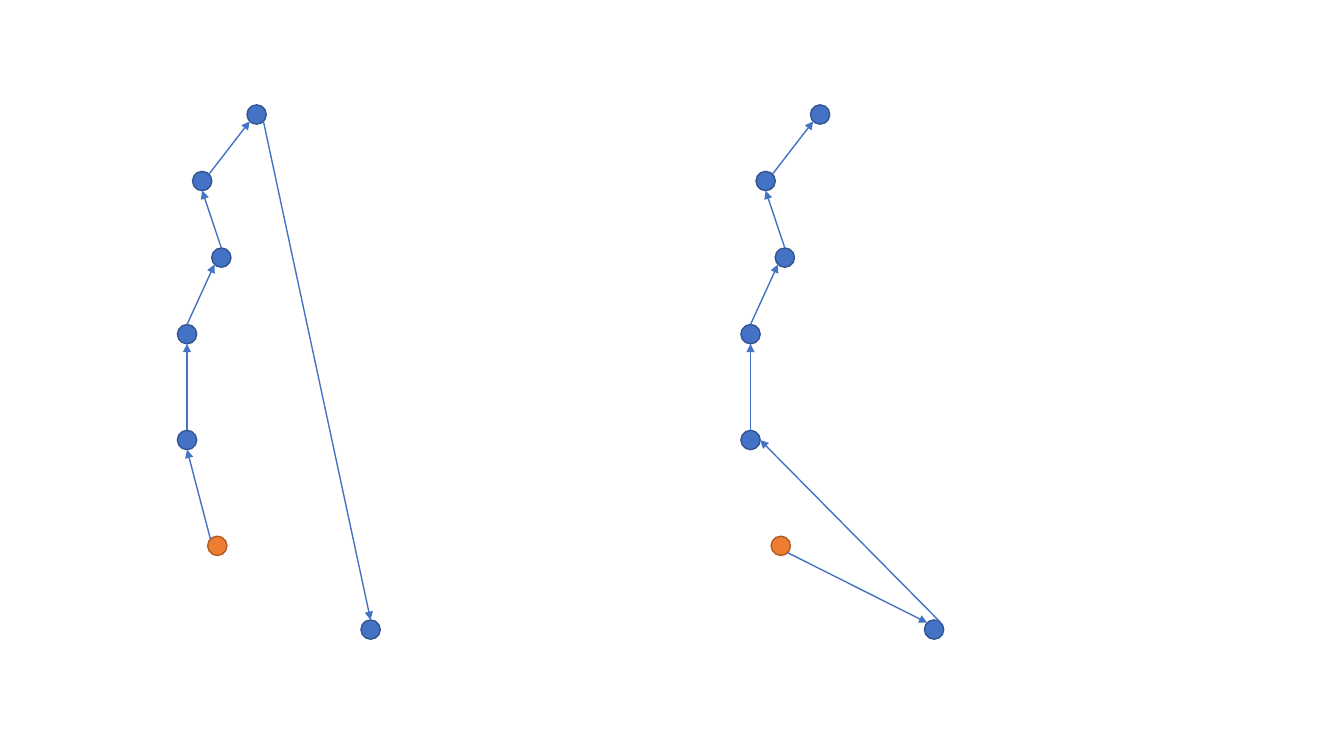
from math import sqrt

from lxml import etree
from pptx import Presentation
from pptx.dml.color import RGBColor
from pptx.enum import shapes
from pptx.oxml import ns
from pptx.util import Pt

BLUE = RGBColor(0x44, 0x72, 0xC4)
NAVY = RGBColor(0x32, 0x54, 0x91)
ORANGE = RGBColor(0xED, 0x7D, 0x31)
RUST = RGBColor(0xAF, 0x5C, 0x24)

SIZE = 13.8  # dot diameter
SHIFT = 402.5  # distance between the two routes

# Top left corner of each dot; "start" is the orange one
DOTS = {
    "far": (257.8, 442.8),
    "start": (148.3, 383),
    "a": (126.7, 307.4),
    "b": (126.7, 231.8),
    "c": (151.2, 177.1),
    "d": (137.5, 122.4),
    "e": (176.4, 74.9),
}

# Each arrow: dot and side it leaves, dot and side it meets
CHAIN = [
    ("a", "N", "b", "S"),
    ("b", "N", "c", "SW"),
    ("c", "N", "d", "S"),
    ("d", "NE", "e", "SW"),
]
LAST = [("start", "NW", "a", "S"), *CHAIN, ("e", "SE", "far", "N")]
FIRST = [("start", "SE", "far", "NW"), *CHAIN, ("far", "NE", "a", "E")]


def rim(dot, side):
    """Return the point on a dot's edge in a compass direction."""
    reach = SIZE / 2 / sqrt(len(side))
    x, y = (n + SIZE / 2 for n in DOTS[dot])
    return (x + reach * (("E" in side) - ("W" in side)),
            y + reach * (("S" in side) - ("N" in side)))


class Deck:
    """Holds the line style and the current slide."""

    def __init__(self):
        """Open a wide deck with one blank slide."""
        self.prs = Presentation()
        self.prs.slide_width, self.prs.slide_height = Pt(960), Pt(540)
        self.slide = self.prs.slides.add_slide(self.prs.slide_layouts[6])
        self.width = Pt(1)

    def dot(self, group, x, y, fill, edge):
        """Add a round dot."""
        dot = group.shapes.add_shape(
            shapes.MSO_SHAPE.OVAL, Pt(x), Pt(y), Pt(SIZE), Pt(SIZE))
        dot.shadow.inherit = False
        dot.fill.solid()
        dot.fill.fore_color.rgb = fill
        dot.line.color.rgb = edge
        dot.line.width = self.width

    def arrow(self, group, start, end):
        """Add a straight arrow between two points."""
        arrow = group.shapes.add_connector(
            shapes.MSO_CONNECTOR.STRAIGHT, *(Pt(n) for n in (*start, *end)))
        arrow.line.color.rgb = BLUE
        arrow.line.width = self.width
        props = arrow._element.spPr
        etree.SubElement(props.find(ns.qn("a:ln")), ns.qn("a:tailEnd"),
                         type="triangle")
        etree.SubElement(props, ns.qn("a:effectLst"))

    def route(self, left, links):
        """Add a group of all dots joined by the given links."""
        group = self.slide.shapes.add_group_shape()
        for name, (x, y) in DOTS.items():
            tint = (ORANGE, RUST) if name == "start" else (BLUE, NAVY)
            self.dot(group, left + x, y, *tint)
        for tail, out, head, side in links:
            (x1, y1), (x2, y2) = rim(tail, out), rim(head, side)
            self.arrow(group, (left + x1, y1), (left + x2, y2))


deck = Deck()
for i, links in enumerate((LAST, FIRST)):
    deck.route(i * SHIFT, links)
deck.prs.save("out.pptx")
